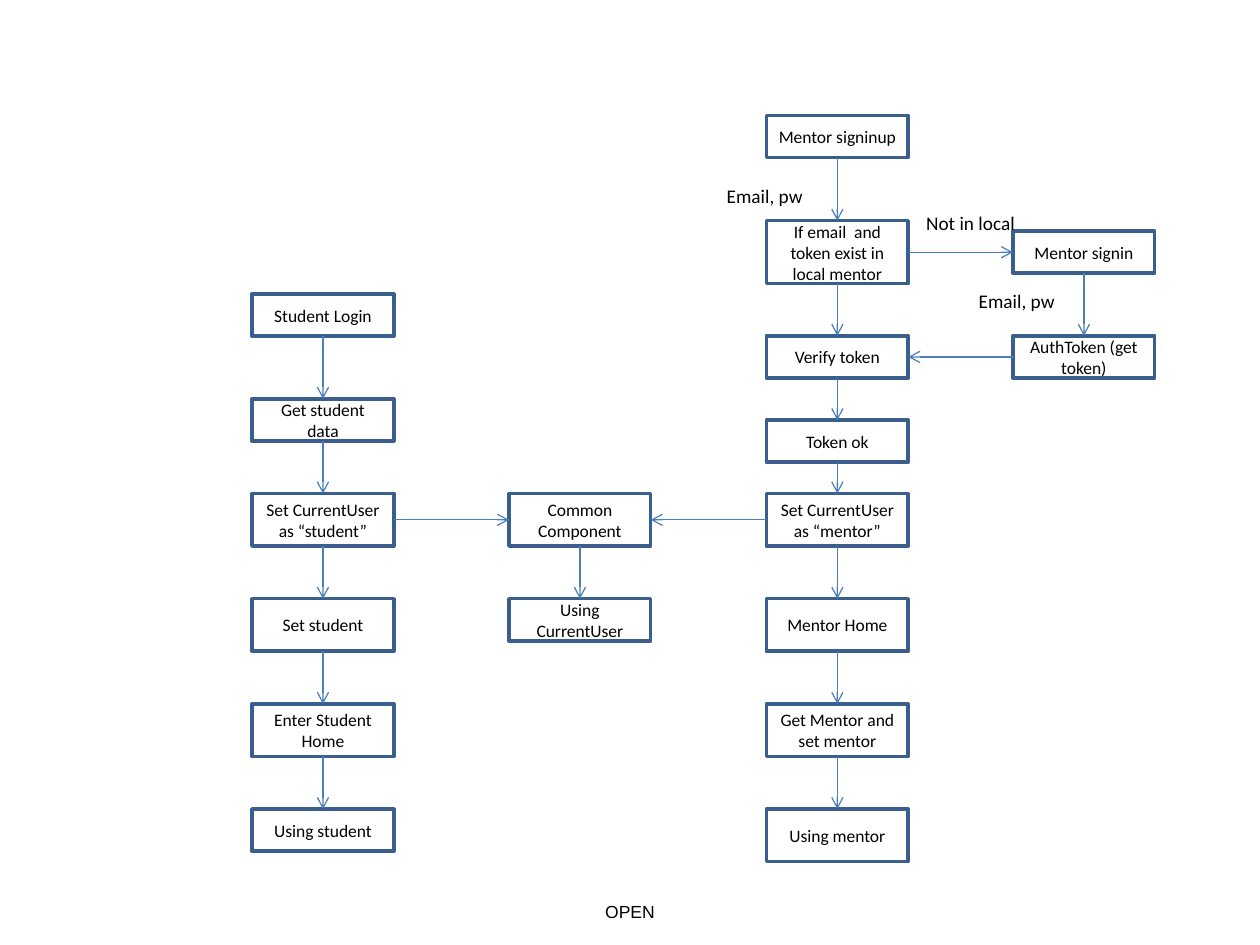
from lxml.etree import SubElement
from pptx import Presentation
from pptx.dml.color import RGBColor
from pptx.enum.shapes import MSO_CONNECTOR as Link, MSO_SHAPE as Preset
from pptx.enum.text import MSO_ANCHOR as Anchor, PP_ALIGN as Align
from pptx.oxml.ns import qn
from pptx.util import Cm, Pt

TOP, LEFT, BOTTOM, RIGHT = range(4)
BOX_WIDTH = 2.86
SHORT, MEDIUM, TALL = 0.85, 1.06, 1.27
STUDENT_X, COMMON_X, MENTOR_X, SIGNIN_X = 5.08, 10.26, 15.45, 20.42
USER_Y, ROW_STEP = 9.95, 2.12
SIGNIN_Y, TOKEN_Y = 4.66, 6.77
ROWS = [USER_Y + ROW_STEP * index for index in range(4)]

STUDENT_STEPS = [
    ("Student Login", 5.93, SHORT),
    ("Get student data", 8.04, SHORT),
    ("Set CurrentUser as “student”", ROWS[0], MEDIUM),
    ("Set student", ROWS[1], MEDIUM),
    ("Enter Student Home", ROWS[2], MEDIUM),
    ("Using student", ROWS[3], SHORT),
]
COMMON_STEPS = [
    ("Common Component", ROWS[0], MEDIUM),
    ("Using CurrentUser", ROWS[1], SHORT),
]
MENTOR_STEPS = [
    ("Mentor signinup", 2.33, SHORT),
    ("If email  and token exist in local mentor", 4.45, TALL),
    ("Verify token", TOKEN_Y, SHORT),
    ("Token ok", 8.47, SHORT),
    ("Set CurrentUser as “mentor”", ROWS[0], MEDIUM),
    ("Mentor Home", ROWS[1], MEDIUM),
    ("Get Mentor and set mentor", ROWS[2], MEDIUM),
    ("Using mentor", ROWS[3], MEDIUM),
]
SIGNIN_STEPS = [
    ("Mentor signin", SIGNIN_Y, SHORT),
    ("AuthToken (get token)", TOKEN_Y, SHORT),
]
LABELS = [
    ("Email, pw", 14.4, 3.6),
    ("Email, pw", 19.48, 5.71),
    ("Not in local", 18.42, 4.14),
]


def color(value):
    """Turn a hex string into a colour."""
    return RGBColor.from_string(value)


def write(shape, text, size=10, font="Calibri", align=Align.CENTER, anchor=Anchor.MIDDLE):
    """Write one formatted paragraph into a shape."""
    frame = shape.text_frame
    frame.word_wrap = True
    frame.vertical_anchor = anchor
    para = frame.paragraphs[0]
    para.alignment = align
    span = para.add_run()
    span.text = text
    span.font.size = Pt(size)
    span.font.name = font
    span.font.color.rgb = color("000000")


def add_label(page, text, left, top, width=2.34, height=0.73, **style):
    """Add a text box."""
    box = page.shapes.add_textbox(Cm(left), Cm(top), Cm(width), Cm(height))
    write(box, text, anchor=Anchor.TOP, **style)


def add_step(page, text, left, top, height):
    """Add one outlined flowchart box."""
    box = page.shapes.add_shape(Preset.RECTANGLE, Cm(left), Cm(top), Cm(BOX_WIDTH), Cm(height))
    box.shadow.inherit = False
    box.fill.background()
    box.line.color.rgb = color("3A5F8C")
    box.line.width = Pt(2)
    write(box, text)
    return box


def add_arrow(page, start, end, start_side=BOTTOM, end_side=TOP):
    """Join two boxes with an arrow."""
    arrow = page.shapes.add_connector(Link.STRAIGHT, 0, 0, 0, 0)
    arrow.begin_connect(start, start_side)
    arrow.end_connect(end, end_side)
    arrow.line.color.rgb = color("4B7EBC")
    arrow.line.width = Pt(0.75)
    properties = arrow._element.spPr
    SubElement(properties.find(qn("a:ln")), qn("a:tailEnd"), type="arrow")
    SubElement(properties, qn("a:effectLst"))


def add_flow(page, left, steps):
    """Add a column of boxes, each with an arrow to the next."""
    boxes = [add_step(page, text, left, top, height) for text, top, height in steps]
    for start, end in zip(boxes, boxes[1:]):
        add_arrow(page, start, end)
    return boxes


def main():
    """Build the login flowchart."""
    deck = Presentation()
    deck.slide_width, deck.slide_height = Cm(25.4), Cm(19.05)
    page = deck.slides.add_slide(deck.slide_layouts[6])
    add_label(page, "OPEN", 0, 18.03, 25.4, 1.12, font="Arial")
    student = add_flow(page, STUDENT_X, STUDENT_STEPS)
    common = add_flow(page, COMMON_X, COMMON_STEPS)
    mentor = add_flow(page, MENTOR_X, MENTOR_STEPS)
    signin = add_flow(page, SIGNIN_X, SIGNIN_STEPS)
    add_arrow(page, student[2], common[0], RIGHT, LEFT)
    add_arrow(page, mentor[4], common[0], LEFT, RIGHT)
    add_arrow(page, mentor[1], signin[0], RIGHT, LEFT)
    add_arrow(page, signin[1], mentor[2], LEFT, RIGHT)
    for text, left, top in LABELS:
        add_label(page, text, left, top, size=11, align=Align.LEFT)
    deck.save("out.pptx")


main()
